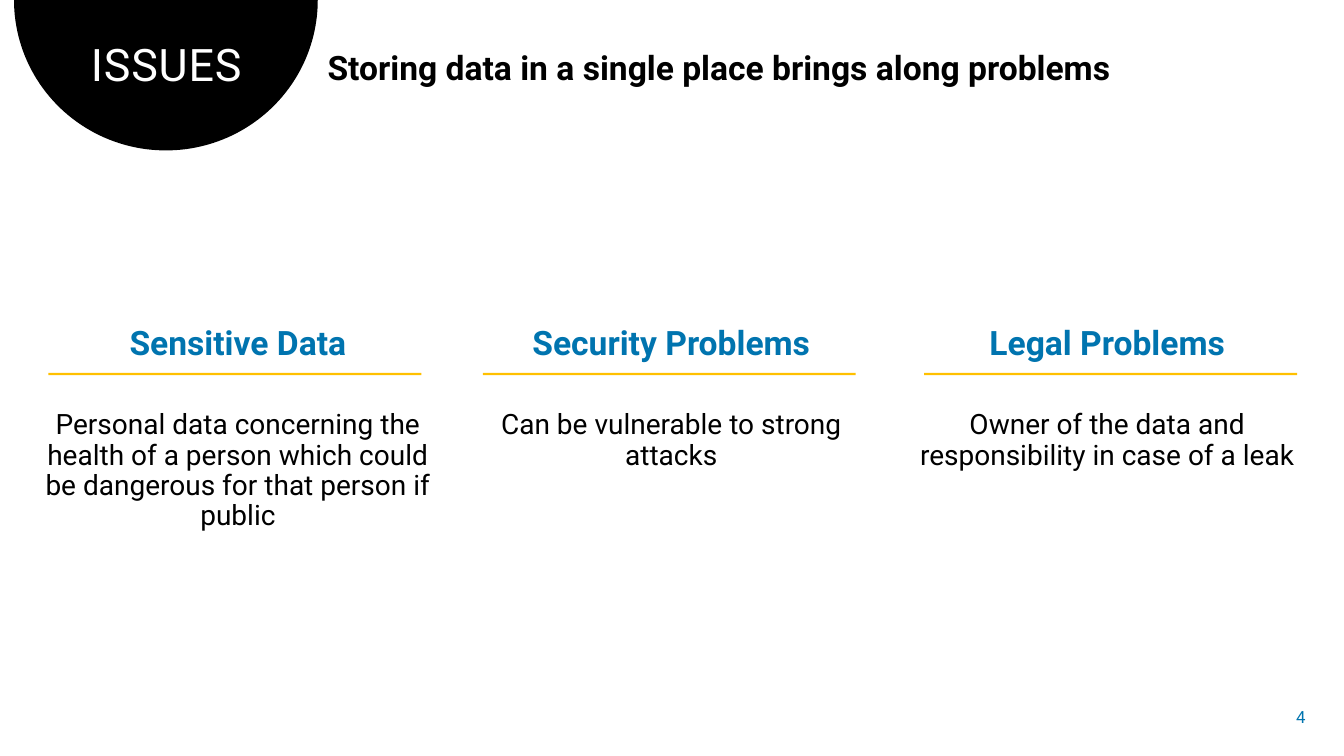
import math

import pptx
import pptx.dml.color
import pptx.enum.text
import pptx.util

Pt = pptx.util.Pt
RGBColor = pptx.dml.color.RGBColor
Align = pptx.enum.text.PP_ALIGN
Anchor = pptx.enum.text.MSO_ANCHOR
AutoSize = pptx.enum.text.MSO_AUTO_SIZE

BLACK = RGBColor(0x00, 0x00, 0x00)
WHITE = RGBColor(0xFF, 0xFF, 0xFF)
BLUE = RGBColor(0x00, 0x74, 0xAF)
GOLD = RGBColor(0xFF, 0xC0, 0x00)

FONT = "Roboto"
BADGE_TITLE = {"size": Pt(32), "bold": False, "color": WHITE}
HEADLINE = {"size": Pt(24), "bold": True, "color": BLACK}
HEADING = {"size": Pt(24), "bold": True, "color": BLUE}
DETAIL = {"size": Pt(20), "bold": False, "color": BLACK}
PAGE_NUMBER = {"size": Pt(12), "bold": False, "color": BLUE}

# Heading, detail, box left and width, rule left
ISSUES = [
    ("Sensitive Data",
     "Personal data concerning the health of a person which could be "
     "dangerous for that person if public", 23.8, 292.3, 34.6),
    ("Security Problems", "Can be vulnerable to strong attacks",
     328.3, 302.4, 344.9),
    ("Legal Problems",
     "Owner of the data and responsibility in case of a leak",
     642.2, 297.4, 660.2),
]


def place(part, box):
    for side, length in zip(("left", "top", "width", "height"), box):
        setattr(part, side, Pt(length))


def paint(part, color):
    part.shadow.inherit = False
    part.fill.solid()
    part.fill.fore_color.rgb = color
    part.line.fill.background()


def prepare_frame(holder, anchor=Anchor.TOP, wrap=True):
    frame = holder.text_frame
    settings = {"word_wrap": wrap, "vertical_anchor": anchor,
                "auto_size": AutoSize.SHAPE_TO_FIT_TEXT}
    for name, value in settings.items():
        setattr(frame, name, value)
    return frame


def write(paragraph, text, look, **spacing):
    """Fill a paragraph without bullet or indent and return its run."""
    for name, value in spacing.items():
        setattr(paragraph, name, value)
    properties = paragraph._p.get_or_add_pPr()
    properties.set("marL", "0")
    properties.set("indent", "0")
    bullet_none = pptx.oxml.xmlchemy.OxmlElement("a:buNone")
    properties.append(bullet_none)
    run = paragraph.add_run()
    run.text = text
    run.font.name = FONT
    for name, value in look.items():
        if name == "color":
            run.font.color.rgb = value
        else:
            setattr(run.font, name, value)
    return run


def add_badge(slide, title, box):
    """Half disc hanging from the top edge, with the title on it."""
    left, top, width, height = box
    middle, radius = left + width / 2, width / 2
    rim = [(Pt(middle + radius * math.cos(math.radians(angle))),
            Pt(top + height * math.sin(math.radians(angle))))
           for angle in range(0, 181, 2)]
    outline = slide.shapes.build_freeform(*rim[0])
    outline.add_line_segments(rim[1:], close=True)
    half_disc = outline.convert_to_shape()
    paint(half_disc, BLACK)
    # Keep the half disc behind the placeholders
    slide.shapes._spTree.insert(2, half_disc._element)

    place(title, (left + 15, top + 26.6, width - 29.5, 42.5))
    frame = prepare_frame(title, Anchor.MIDDLE)
    run = write(frame.paragraphs[0], "ISSUES", BADGE_TITLE,
                alignment=Align.CENTER, line_spacing=0.9)
    run._r.get_or_add_rPr().set("spc", "60")


def add_headline(headline, box):
    place(headline, box)
    write(prepare_frame(headline).paragraphs[0],
          "Storing data in a single place brings along problems", HEADLINE,
          alignment=Align.LEFT, line_spacing=0.9, space_before=Pt(10))


def add_issue(slide, body, heading, detail, box, rule_left):
    """Heading, gold rule and explanation of one issue."""
    place(body, box)
    frame = prepare_frame(body)
    shared = {"alignment": Align.CENTER, "line_spacing": 0.9,
              "space_before": Pt(10)}
    write(frame.paragraphs[0], heading, HEADING, space_after=Pt(24), **shared)
    write(frame.add_paragraph(), detail, DETAIL, level=1,
          space_after=Pt(12), **shared)

    rule = slide.shapes.add_shape(
        pptx.enum.shapes.MSO_SHAPE.RECTANGLE,
        Pt(rule_left), Pt(box[1] + 36.6), Pt(266.4), Pt(1.5))
    paint(rule, GOLD)


def add_page_number(slide, box):
    number = slide.shapes.add_textbox(*map(Pt, box))
    frame = prepare_frame(number, Anchor.MIDDLE, wrap=False)
    frame.auto_size = AutoSize.NONE
    write(frame.paragraphs[0], "4", PAGE_NUMBER, alignment=Align.RIGHT)


def main():
    deck = pptx.Presentation()
    deck.slide_width, deck.slide_height = Pt(960), Pt(540)
    # The comparison layout has a title and four body placeholders
    slide = deck.slides.add_slide(deck.slide_layouts[4])
    title, headline, *bodies = slide.placeholders

    add_badge(slide, title, (10, 0, 217, 107.5))
    add_headline(headline, (226.8, 33.1, 715, 33.1))
    for body, issue in zip(bodies, ISSUES):
        heading, detail, left, width, rule_left = issue
        add_issue(slide, body, heading, detail,
                  (left, 229.8, width, 156), rule_left)
    add_page_number(slide, (900, 497.5, 39.6, 28.8))
    deck.save("out.pptx")


if __name__ == "__main__":
    main()
